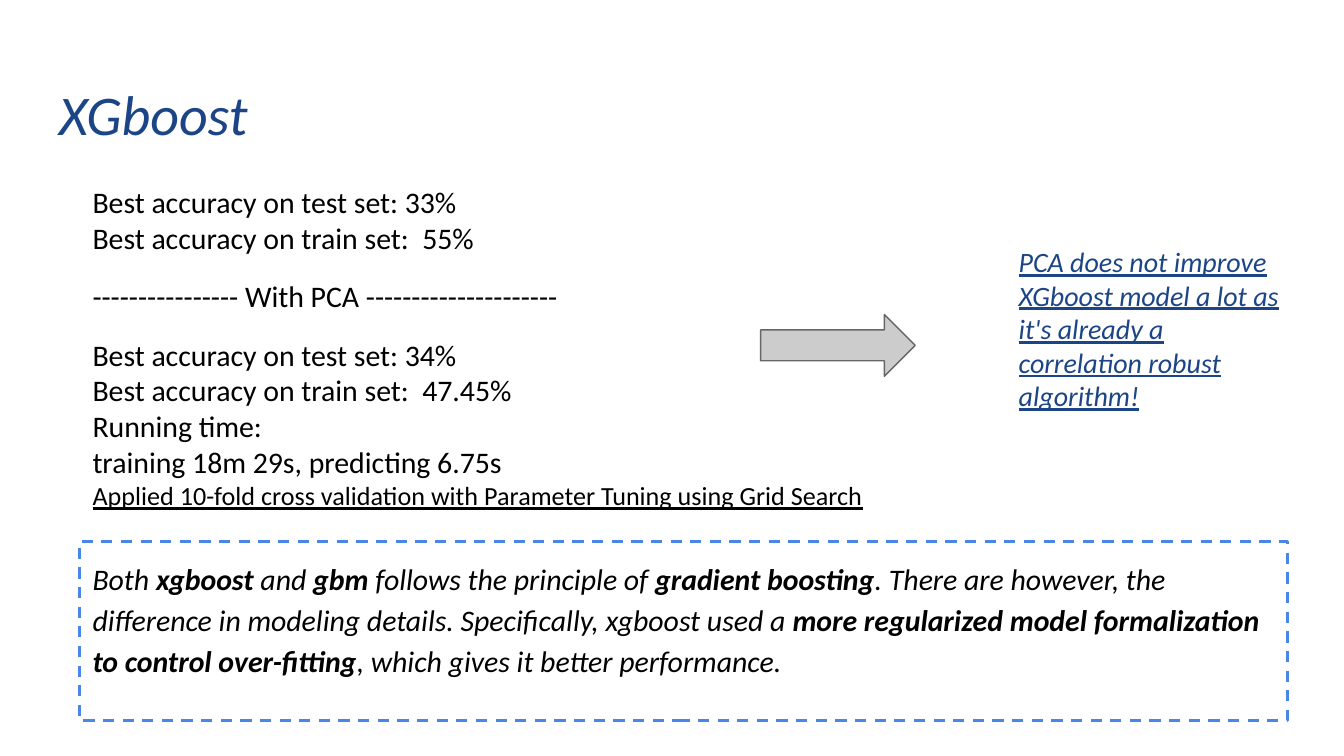
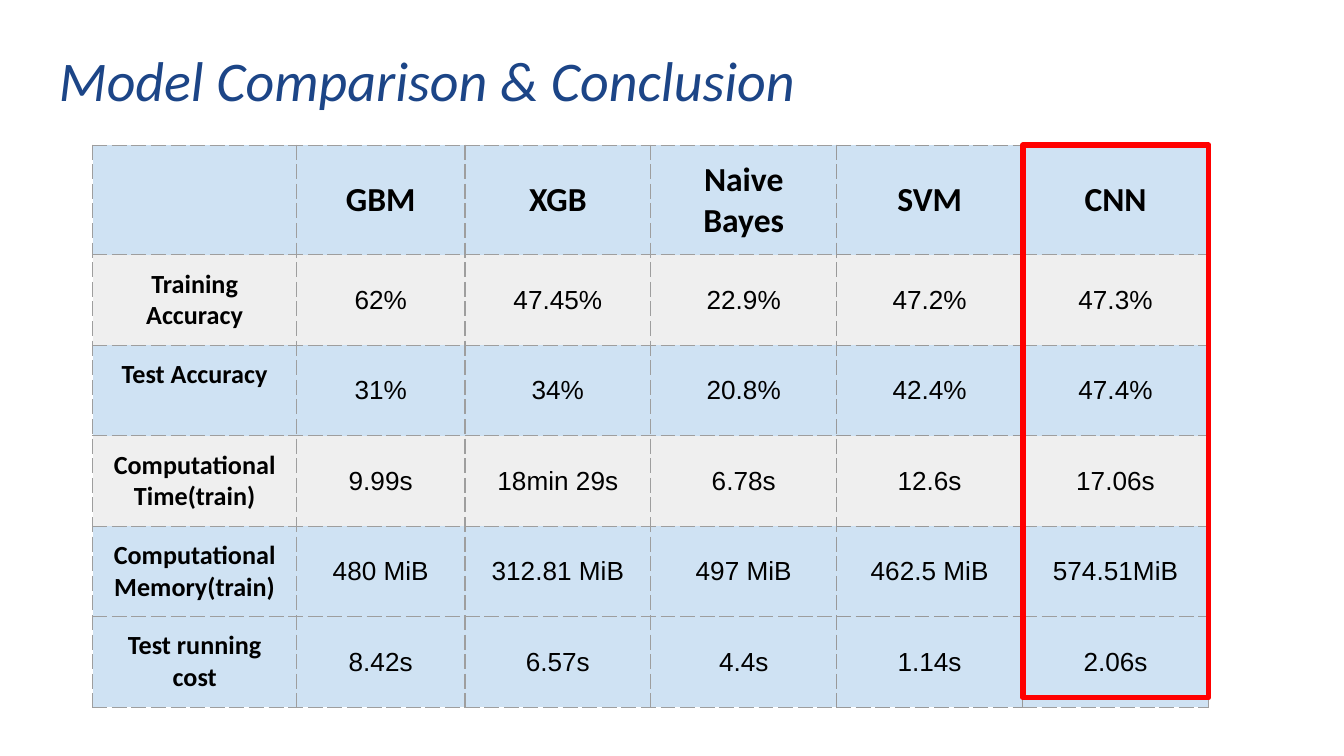
from lxml.etree import SubElement
from pptx import Presentation
from pptx.dml.color import RGBColor
from pptx.enum.dml import MSO_LINE
from pptx.enum.shapes import MSO_SHAPE
from pptx.enum.text import MSO_ANCHOR, PP_ALIGN
from pptx.oxml.ns import qn
from pptx.util import Pt

NAVY = RGBColor(0x1C, 0x45, 0x87)
BLUE = RGBColor(0x4A, 0x86, 0xE8)
PALE_BLUE = RGBColor(0xCF, 0xE2, 0xF3)
PALE_GREY = RGBColor(0xEF, 0xEF, 0xEF)
ARROW_GREY = RGBColor(0xCC, 0xCC, 0xCC)
ARROW_EDGE = RGBColor(0x66, 0x66, 0x66)
GRID = RGBColor(0x9E, 0x9E, 0x9E)
SVM_GRID = RGBColor(0x99, 0x99, 0x99)
RED = RGBColor(0xFF, 0, 0)
BLACK = RGBColor(0, 0, 0)
INSET = Pt(7.2)
SVM_COL = 4

RESULTS = [
    ("Best accuracy on test set: 33%", 0),
    ("Best accuracy on train set:  55%", 0),
    ("---------------- With PCA ---------------------", 12),
    ("Best accuracy on test set: 34%", 12),
    ("Best accuracy on train set:  47.45%", 0),
    ("Running time:", 0),
    ("training 18m 29s, predicting 6.75s", 0),
]
BOOSTING = [
    "Both ", "xgboost ", "and ", "gbm", " follows the principle of ", "gradient boosting",
    ". There are however, the difference in modeling details. Specifically, xgboost used a ",
    "more regularized model formalization to control over-fitting",
    ", which gives it better performance.",
]
COMPARISON = [
    ["", "GBM", "XGB", "Naive Bayes", "SVM", "CNN"],
    ["Training Accuracy", "62%", "47.45%", "22.9%", "47.2%", "47.3%"],
    ["Test Accuracy", "31%", "34%", "20.8%", "42.4%", "47.4%"],
    ["Computational Time(train)", "9.99s", "18min 29s", "6.78s", "12.6s", "17.06s"],
    ["Computational Memory(train)", "480 MiB", "312.81 MiB", "497 MiB", "462.5 MiB", "574.51MiB"],
    ["Test running cost", "8.42s", "6.57s", "4.4s", "1.14s", "2.06s"],
]
ROW_FILLS = [PALE_BLUE, PALE_GREY, PALE_BLUE, PALE_GREY, PALE_BLUE, PALE_BLUE]
COL_WIDTHS = [109.2, 90.2, 99.6, 99.6, 99.6, 99.6]
ROW_HEIGHTS = [58.7] + [48.5] * 5


def write(p, text, size=16, font="Calibri", color=BLACK, bold=False, italic=False, underline=False):
    """Append a formatted run to a paragraph."""
    r = p.add_run()
    r.text = text
    f = r.font
    f.size, f.name, f.bold, f.italic, f.underline = Pt(size), font, bold, italic, underline
    f.color.rgb = color


def set_insets(obj):
    """Give a text frame or a cell the same margin on all sides."""
    obj.margin_left = obj.margin_right = obj.margin_top = obj.margin_bottom = INSET


def prepare_frame(tf):
    """Make a text frame wrap from the top left and return its first paragraph."""
    tf.word_wrap = True
    tf.vertical_anchor = MSO_ANCHOR.TOP
    set_insets(tf)
    p = tf.paragraphs[0]
    p.alignment = PP_ALIGN.LEFT
    return p


def add_text(s, x, y, w, h):
    """Add a text box and return its frame."""
    tf = s.shapes.add_textbox(Pt(x), Pt(y), Pt(w), Pt(h)).text_frame
    prepare_frame(tf)
    return tf


def add_title(s, text, y):
    """Add the slide title."""
    tf = add_text(s, 24.5, y, 671, 45.4)
    write(tf.paragraphs[0], text, size=30, color=NAVY, italic=True)


def add_outline(s, kind, x, y, w, h, line, width, fill=None):
    """Add an outlined preset shape, filled only if a colour is given."""
    sp = s.shapes.add_shape(kind, Pt(x), Pt(y), Pt(w), Pt(h))
    sp.shadow.inherit = False
    sp.line.color.rgb = line
    sp.line.width = Pt(width)
    if fill is None:
        sp.fill.background()
    else:
        sp.fill.solid()
        sp.fill.fore_color.rgb = fill
    return sp


def add_borders(cell, colors):
    """Draw dashed borders on a cell from a mapping of side to colour."""
    tc_pr = cell._tc.get_or_add_tcPr()
    for side, color in colors.items():
        ln = SubElement(tc_pr, qn(f"a:ln{side}"), w=str(Pt(0.75)))
        fill = SubElement(ln, qn("a:solidFill"))
        SubElement(fill, qn("a:srgbClr"), val=str(color))
        SubElement(ln, qn("a:prstDash"), val="dash")


def fill_cell(cell, text, row, col):
    """Format one cell of the comparison table."""
    left = SVM_GRID if col in (SVM_COL, SVM_COL + 1) else GRID
    right = SVM_GRID if col in (SVM_COL - 1, SVM_COL) else GRID
    edge = SVM_GRID if col == SVM_COL else GRID
    add_borders(cell, {"L": left, "R": right, "T": edge, "B": edge})
    cell.fill.solid()
    cell.fill.fore_color.rgb = ROW_FILLS[row]
    cell.vertical_anchor = MSO_ANCHOR.MIDDLE
    set_insets(cell)
    if not text:
        return
    heading = row == 0 or col == 0
    p = cell.text_frame.paragraphs[0]
    p.alignment = PP_ALIGN.CENTER
    write(p, text, size=14 if row else 18, font="Calibri" if heading else "Arial", bold=heading)
    if text == "Test Accuracy":
        cell.margin_bottom = Pt(24)


def add_comparison(s, x, y):
    """Add the table that compares the models."""
    table = s.shapes.add_table(len(COMPARISON), len(COL_WIDTHS), Pt(x), Pt(y),
                               Pt(sum(COL_WIDTHS)), Pt(sum(ROW_HEIGHTS))).table
    table.first_row = table.horz_banding = False
    for column, width in zip(table.columns, COL_WIDTHS):
        column.width = Pt(width)
    for i, values in enumerate(COMPARISON):
        table.rows[i].height = Pt(ROW_HEIGHTS[i])
        for j, text in enumerate(values):
            fill_cell(table.cell(i, j), text, i, j)


def build_xgboost(s):
    """Build the slide with the XGboost results."""
    add_title(s, "XGboost", 35.3)

    sp = add_outline(s, MSO_SHAPE.RECTANGLE, 42.5, 290.2, 647.3, 95.8, BLUE, 1.5)
    sp.line.dash_style = MSO_LINE.DASH
    p = prepare_frame(sp.text_frame)
    p.line_spacing = 1.15
    p.space_after = Pt(16)
    for i, text in enumerate(BOOSTING):
        write(p, text, italic=True, bold=i % 2 == 1)

    tf = add_text(s, 42.5, 91.4, 471.6, 181.4)
    p = tf.paragraphs[0]
    for text, gap in RESULTS:
        p.space_before = Pt(gap)
        write(p, text)
        p = tf.add_paragraph()
    write(p, "Applied 10-fold cross validation with Parameter Tuning using Grid Search",
          size=14, underline=True)

    add_outline(s, MSO_SHAPE.RIGHT_ARROW, 407.5, 168.5, 82.8, 33.1, ARROW_EDGE, 0.75, ARROW_GREY)
    tf = add_text(s, 538.6, 123.8, 157, 111.6)
    write(tf.paragraphs[0],
          "PCA does not improve XGboost model a lot as it's already a correlation robust algorithm!",
          size=15, color=NAVY, italic=True, underline=True)


def build_conclusion(s):
    """Build the slide that compares the models."""
    add_title(s, "Model Comparison & Conclusion", 17.3)
    x, y = 49.7, 77.8
    add_comparison(s, x, y)
    add_outline(s, MSO_SHAPE.RECTANGLE, x + sum(COL_WIDTHS[:-1]), y, COL_WIDTHS[-1], 295.9, RED, 3)


def main():
    """Build and save the presentation."""
    prs = Presentation()
    prs.slide_width, prs.slide_height = Pt(720), Pt(405)
    for build in (build_xgboost, build_conclusion):
        build(prs.slides.add_slide(prs.slide_layouts[6]))
    prs.save("out.pptx")


if __name__ == "__main__":
    main()
